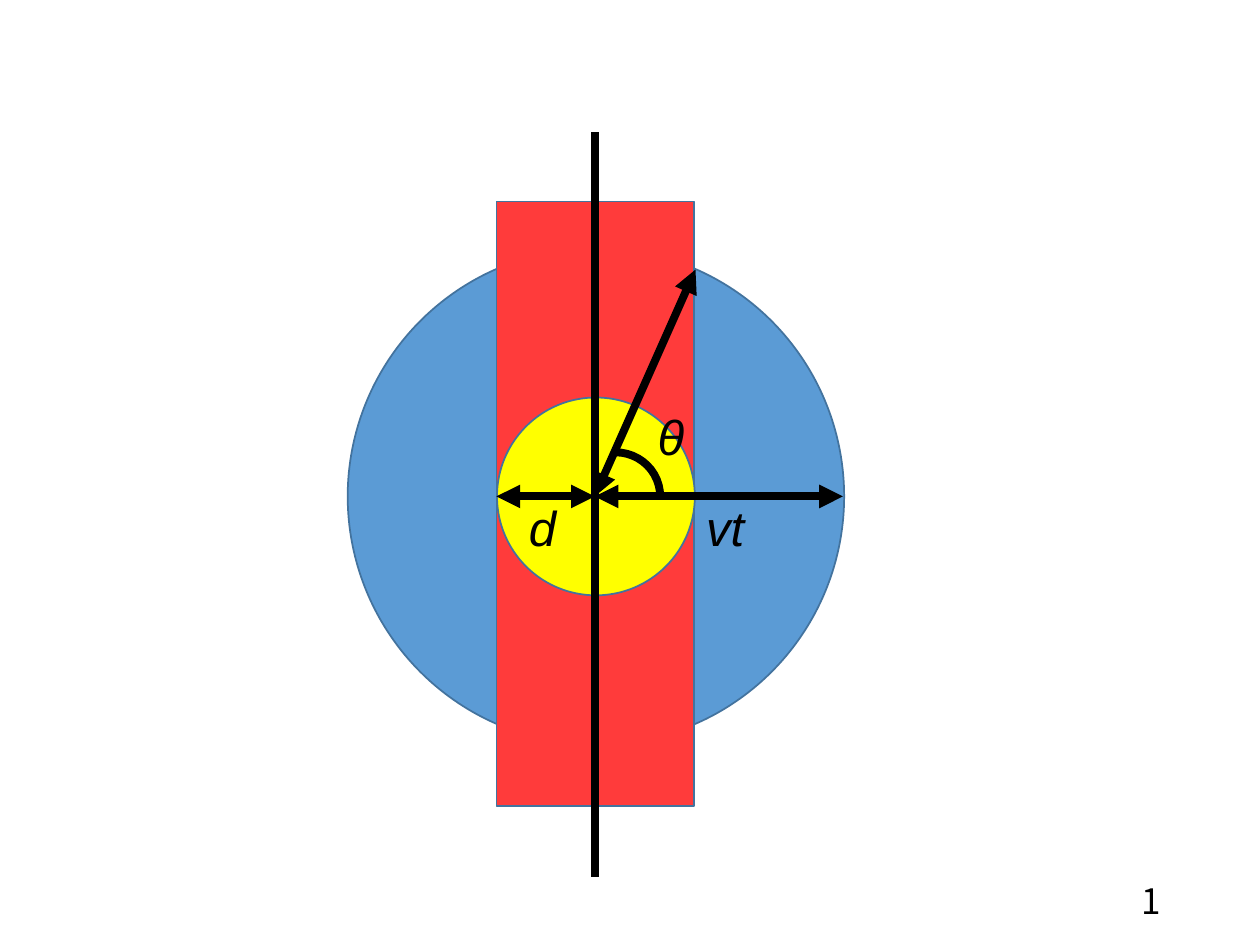
"""Draw a ring, slab and core diagram with radius, distance and angle labels."""
from dataclasses import dataclass

from lxml import etree
from pptx import Presentation
from pptx.dml.color import RGBColor
from pptx.enum import shapes as sh, text as tx
from pptx.oxml import ns
from pptx.util import Inches, Pt

HEX = {"blue": "5B9BD5", "red": "FF3B3B", "gold": "FFFF00",
       "edge": "43739E", "ink": "000000"}
KIND = sh.MSO_SHAPE
ALIGN = tx.PP_ALIGN
MID_X, MID_Y = 4.72, 3.94
REACH, DIST = 1.97, 0.785


@dataclass
class Body:
    kind: KIND
    x: float
    y: float
    w: float
    h: float
    fill: str = ""
    edge: str = "edge"
    width: float = 1


@dataclass
class Line:
    x1: float
    y1: float
    x2: float
    y2: float
    heads: bool = True


@dataclass
class Label:
    text: str
    x: float
    y: float
    w: float = 0.69
    h: float = 0.57
    size: int = 28
    font: str = "Arial"
    slant: bool = True
    align: ALIGN = ALIGN.CENTER
    anchor: tx.MSO_ANCHOR = tx.MSO_ANCHOR.TOP


def color(key: str) -> RGBColor:
    return RGBColor.from_string(HEX[key])


def disc(r: float, fill: str) -> Body:
    return Body(KIND.OVAL, MID_X + 0.01 - r, MID_Y - r, 2 * r, 2 * r, fill)


def draw_body(slide, body: Body) -> None:
    shape = slide.shapes.add_shape(
        body.kind, *map(Inches, (body.x, body.y, body.w, body.h)))
    shape.shadow.inherit = False
    if body.fill:
        shape.fill.solid()
        shape.fill.fore_color.rgb = color(body.fill)
    else:
        shape.fill.background()
    shape.line.color.rgb = color(body.edge)
    shape.line.width = Pt(body.width)


def draw_line(slide, line: Line) -> None:
    ends = map(Inches, (line.x1, line.y1, line.x2, line.y2))
    link = slide.shapes.add_connector(sh.MSO_CONNECTOR.STRAIGHT, *ends)
    link.line.color.rgb = color("ink")
    link.line.width = Pt(4.5)
    if line.heads:
        for tag in ("a:headEnd", "a:tailEnd"):
            etree.SubElement(link.line._ln, ns.qn(tag), type="triangle")
    etree.SubElement(link._element.spPr, ns.qn("a:effectLst"))


def draw_label(slide, label: Label) -> None:
    box = slide.shapes.add_textbox(
        *map(Inches, (label.x, label.y, label.w, label.h)))
    frame = box.text_frame
    frame.word_wrap = True
    frame.vertical_anchor = label.anchor
    para = frame.paragraphs[0]
    para.text = label.text
    para.alignment = label.align
    font = para.font
    font.name, font.size, font.italic = label.font, Pt(label.size), label.slant
    font.color.rgb = color("ink")


DRAW = {Body: draw_body, Line: draw_line, Label: draw_label}
ITEMS = [
    disc(REACH, "blue"),
    Body(KIND.RECTANGLE, 3.94, 1.6, 2 * DIST, 4.8, "red"),
    Label("1", 7.06, 6.95, 2.25, 0.4, 20, "Noto Sans CJK JP", False,
          ALIGN.RIGHT, tx.MSO_ANCHOR.MIDDLE),
    disc(DIST, "gold"),
    Line(3.94, MID_Y, MID_X, MID_Y),
    Line(MID_X, MID_Y, MID_X + REACH, MID_Y),
    Line(5.52, 2.14, MID_X, MID_Y),
    Label("vt", 5.41, 3.9),
    Label("d", 3.96, 3.9),
    Body(KIND.ARC, 4.53, 3.59, 0.71, 0.7, edge="ink", width=4.5),
    Label("θ", 4.98, 3.18),
    Line(MID_X, 1.05, MID_X, 6.96, heads=False),
]

deck = Presentation()
deck.slide_width, deck.slide_height = Inches(10), Inches(7.5)
page = deck.slides.add_slide(deck.slide_layouts[6])
for item in ITEMS:
    DRAW[type(item)](page, item)
deck.save("out.pptx")
